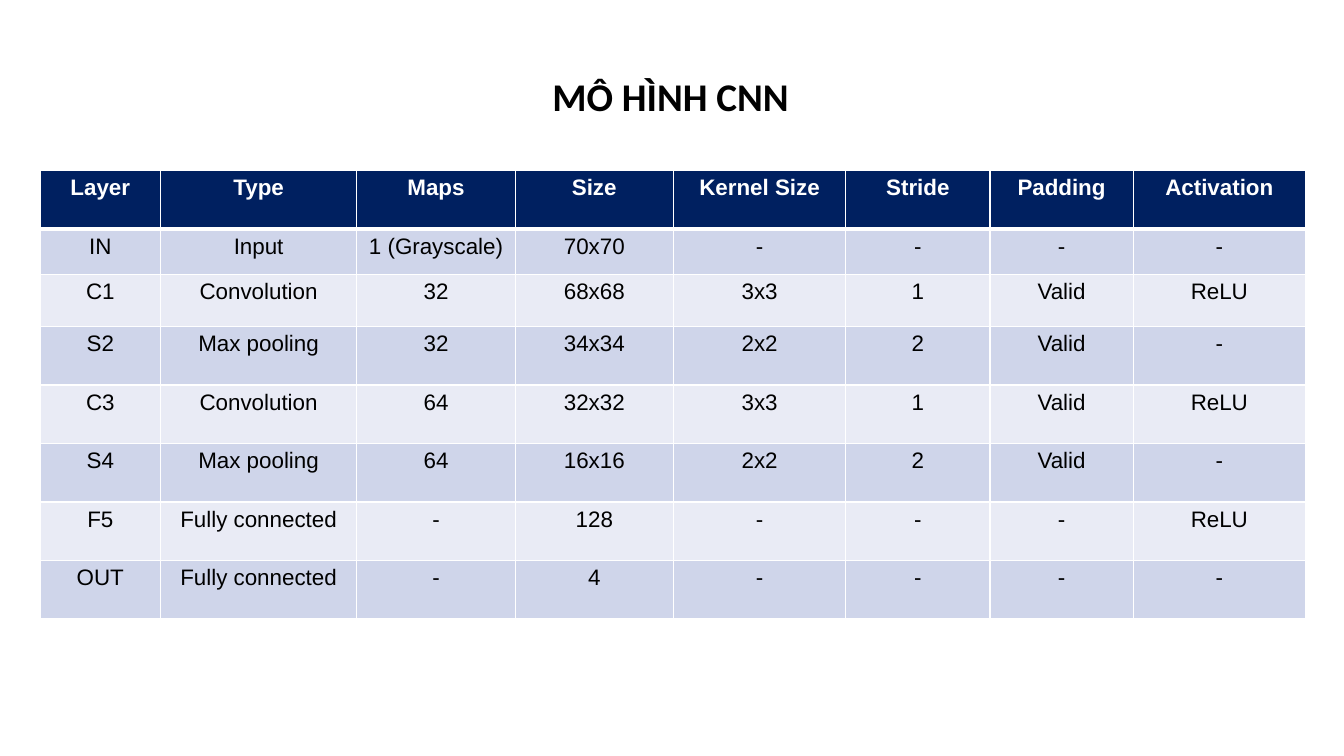
from lxml import etree
from pptx import Presentation
from pptx.dml.color import RGBColor
from pptx.enum.text import MSO_AUTO_SIZE, PP_ALIGN
from pptx.oxml.ns import qn
from pptx.util import Inches, Pt

CENTER = PP_ALIGN.CENTER
FIT_SHAPE = MSO_AUTO_SIZE.SHAPE_TO_FIT_TEXT
NAVY = RGBColor(0x00, 0x20, 0x60)
BAND_DARK = RGBColor(0xCF, 0xD5, 0xEA)
BAND_LIGHT = RGBColor(0xE9, 0xEB, 0xF5)
WHITE = RGBColor(0xFF, 0xFF, 0xFF)
BLACK = RGBColor(0x00, 0x00, 0x00)

COL_WIDTHS = [1.19, 1.95, 1.57, 1.57, 1.71, 1.43, 1.42, 1.71]
ROW_HEIGHTS = [0.58, 0.45, 0.52] + [0.58] * 5
LAYERS = [
    ["Layer", "Type", "Maps", "Size", "Kernel Size", "Stride", "Padding", "Activation"],
    ["IN", "Input", "1 (Grayscale)", "70x70", "-", "-", "-", "-"],
    ["C1", "Convolution", "32", "68x68", "3x3", "1", "Valid", "ReLU"],
    ["S2", "Max pooling", "32", "34x34", "2x2", "2", "Valid", "-"],
    ["C3", "Convolution", "64", "32x32", "3x3", "1", "Valid", "ReLU"],
    ["S4", "Max pooling", "64", "16x16", "2x2", "2", "Valid", "-"],
    ["F5", "Fully connected", "-", "128", "-", "-", "-", "ReLU"],
    ["OUT", "Fully connected", "-", "4", "-", "-", "-", "-"],
]


def set_border(cell, side, width):
    ln = etree.SubElement(cell._tc.get_or_add_tcPr(), qn("a:ln" + side), w=str(Pt(width)))
    fill = etree.SubElement(ln, qn("a:solidFill"))
    etree.SubElement(fill, qn("a:srgbClr"), val=str(WHITE))


def format_run(r, font, size, color, bold):
    r.font.name = font
    r.font.size = Pt(size)
    r.font.color.rgb = color
    r.font.bold = bold


prs = Presentation()
prs.slide_width = Inches(13.33)
prs.slide_height = Inches(7.5)
s = prs.slides.add_slide(prs.slide_layouts[6])

# Layer table
table = s.shapes.add_table(
    len(LAYERS), len(COL_WIDTHS), Inches(0.4), Inches(1.69),
    Inches(sum(COL_WIDTHS)), Inches(sum(ROW_HEIGHTS))).table
for column, width in zip(table.columns, COL_WIDTHS):
    column.width = Inches(width)
for row, height in zip(table.rows, ROW_HEIGHTS):
    row.height = Inches(height)

for i, layer in enumerate(LAYERS):
    header = i == 0
    band = NAVY if header else BAND_DARK if i % 2 else BAND_LIGHT
    for j, value in enumerate(layer):
        cell = table.cell(i, j)
        # A thick rule separates the header from the body
        for side in "LRTB":
            thick = (i, side) in [(0, "B"), (1, "T")]
            set_border(cell, side, 3 if thick else 1)
        cell.fill.solid()
        cell.fill.fore_color.rgb = band
        p = cell.text_frame.paragraphs[0]
        p.text = value
        p.alignment = CENTER
        format_run(p.runs[0], "Arial", 16, WHITE if header else BLACK, header)

# Title
tf = s.shapes.add_textbox(Inches(5.38), Inches(0.67), Inches(2.58), Inches(0.57)).text_frame
tf.word_wrap = False
tf.auto_size = FIT_SHAPE
tf.text = "MÔ HÌNH CNN"
format_run(tf.paragraphs[0].runs[0], "Calibri", 28, BLACK, True)

prs.save("out.pptx")
